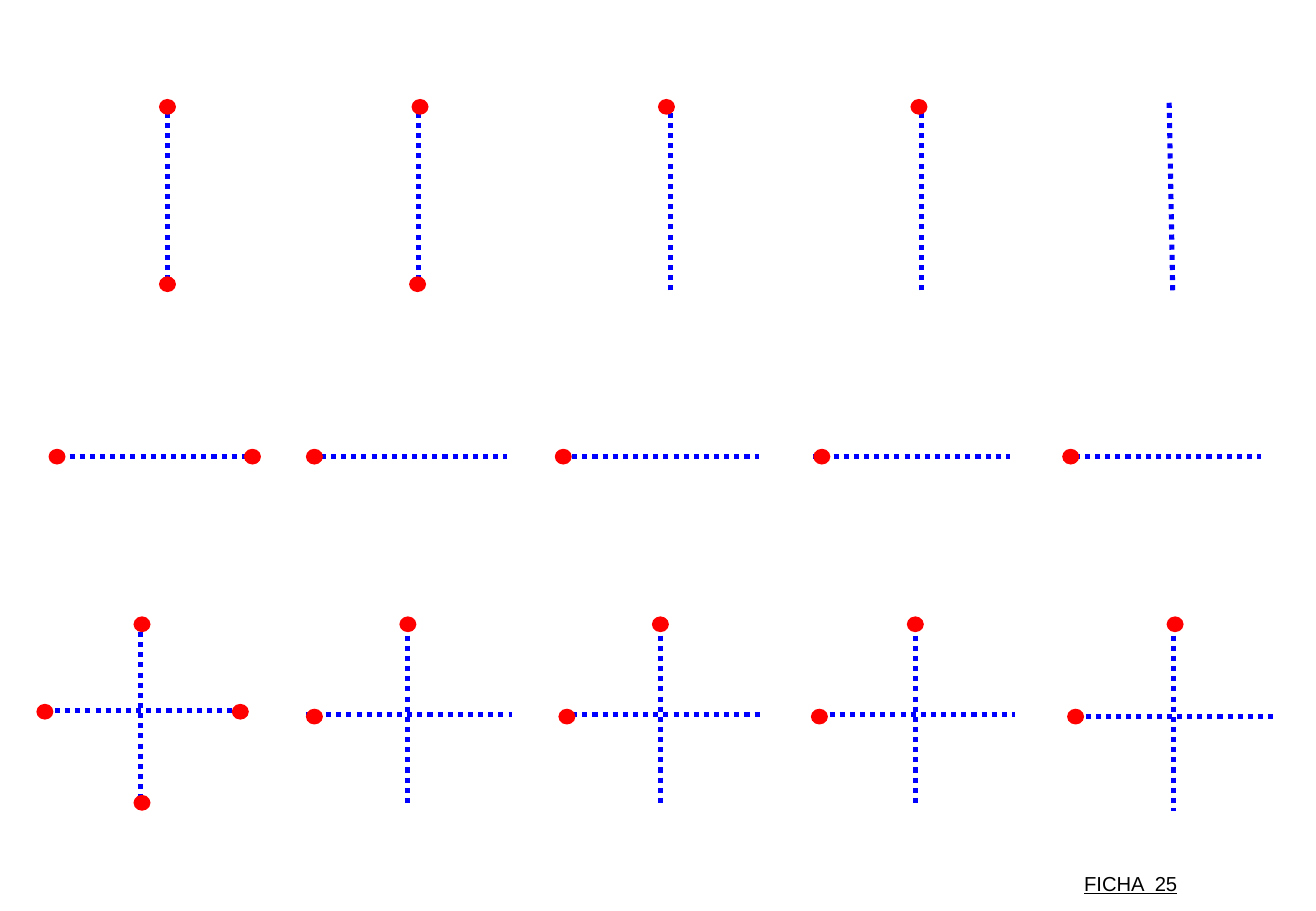
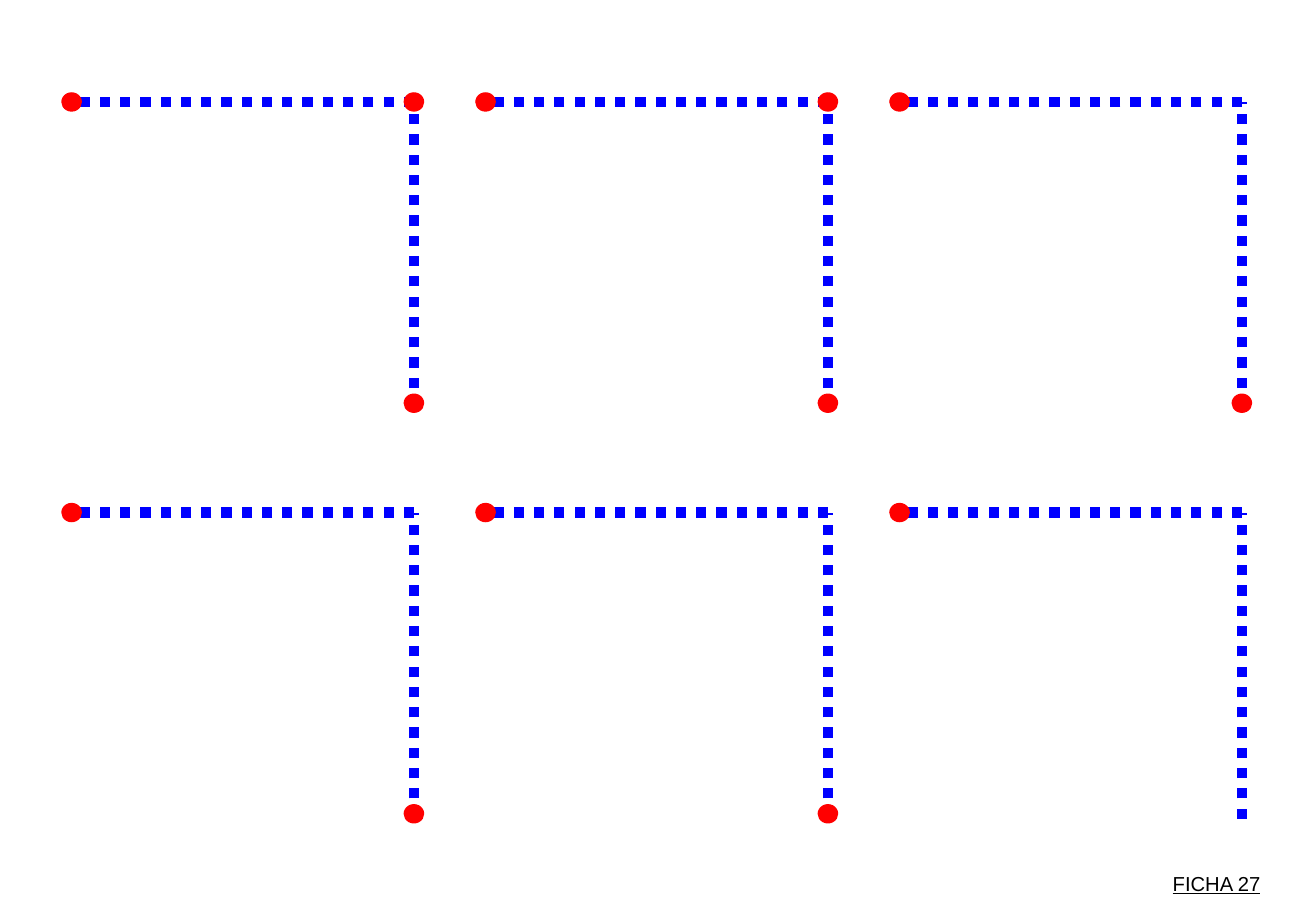
from lxml.etree import SubElement
from pptx import Presentation
from pptx.dml.color import RGBColor
from pptx.enum.dml import MSO_LINE
from pptx.enum.shapes import MSO_CONNECTOR, MSO_SHAPE
from pptx.enum.text import MSO_ANCHOR, MSO_AUTO_SIZE, PP_ALIGN
from pptx.oxml.ns import qn
from pptx.util import Inches, Pt

COLORS = {"stroke": "0000FF", "dot": "FF0000", "label": "000000"}
FONT = "Arial"
TITLE_ONLY = 5

# Sheet 25: label, then three rows of five strokes (inches)
SHEET_25 = {"label": "FICHA  25", "label_left": 8.83, "label_width": 1.17,
            "weight": 3, "dot": (0.14, 0.13)}
COLUMNS = 5
COLUMN_STEP = 2.07
VERTICAL = {"x": 1.38, "top": 0.89, "bottom": 2.39}
LAST_VERTICAL_TOP = (9.63, 0.81)
VERTICAL_DOTS = [(1.38, 0.88), (3.46, 0.88), (5.49, 0.88), (7.57, 0.88),
                 (1.38, 2.34), (3.44, 2.34)]
HORIZONTAL = {"left": 0.49, "y": 3.76, "length": 1.62}
HORIZONTAL_DOTS = [0.47, 2.08, 2.59, 4.64, 6.77, 8.82]
CROSSES = [
    # left, right, y, x, top, bottom, dot centres
    (0.37, 1.98, 5.85, 1.16, 5.12, 6.60,
     [(0.37, 5.86), (1.98, 5.86), (1.17, 5.14), (1.17, 6.61)]),
    (2.52, 4.22, 5.88, 3.36, 5.15, 6.64, [(2.59, 5.90), (3.36, 5.14)]),
    (4.63, 6.29, 5.88, 5.44, 5.15, 6.64, [(4.67, 5.90), (5.44, 5.14)]),
    (6.75, 8.36, 5.88, 7.54, 5.15, 6.64, [(6.75, 5.90), (7.54, 5.14)]),
    (8.86, 10.51, 5.90, 9.67, 5.15, 6.68, [(8.86, 5.90), (9.68, 5.14)]),
]

# Sheet 27: label, then two rows of three corners with fewer dots each time
SHEET_27 = {"label": "FICHA 27", "label_left": 9.56, "label_width": 1.27,
            "weight": 6, "dot": (0.17, 0.16)}
CORNER = {"left": 0.59, "top": 0.84, "width": 2.82, "height": 2.52,
          "step_x": 3.41, "step_y": 3.38, "end_dot_rise": 0.04}
CORNER_DOTS = [
    [("start", "turn", "end"), ("start", "turn", "end"), ("start", "end")],
    [("start", "end"), ("start", "end"), ("start",)],
]


def color(name):
    return RGBColor.from_string(COLORS[name])


def add_sheet(prs, sheet):
    """Add a slide with its underlined sheet label."""
    slide = prs.slides.add_slide(prs.slide_layouts[TITLE_ONLY])
    label = slide.shapes.title
    label.left, label.top = Inches(sheet["label_left"]), Inches(7.12)
    label.width, label.height = Inches(sheet["label_width"]), Inches(0.3)
    frame = label.text_frame
    frame.word_wrap = False
    frame.auto_size = MSO_AUTO_SIZE.NONE
    frame.vertical_anchor = MSO_ANCHOR.TOP
    frame.paragraphs[0].alignment = PP_ALIGN.LEFT
    run = frame.paragraphs[0].add_run()
    run.text = sheet["label"]
    run.font.name, run.font.size = FONT, Pt(12)
    run.font.underline = True
    run.font.color.rgb = color("label")
    return slide.shapes


def add_stroke(shapes, sheet, start, end):
    stroke = shapes.add_connector(
        MSO_CONNECTOR.STRAIGHT, *(Inches(v) for v in (*start, *end)))
    stroke.line.color.rgb = color("stroke")
    stroke.line.width = Pt(sheet["weight"])
    stroke.line.dash_style = MSO_LINE.ROUND_DOT
    SubElement(stroke.element.spPr, qn("a:effectLst"))


def add_dot(shapes, sheet, center):
    width, height = sheet["dot"]
    x, y = center
    dot = shapes.add_shape(
        MSO_SHAPE.OVAL, Inches(x - width / 2), Inches(y - height / 2),
        Inches(width), Inches(height))
    dot.shadow.inherit = False
    dot.fill.solid()
    dot.fill.fore_color.rgb = color("dot")
    dot.line.fill.background()


def build_sheet_25(prs):
    shapes = add_sheet(prs, SHEET_25)
    dots = VERTICAL_DOTS + [(x, HORIZONTAL["y"]) for x in HORIZONTAL_DOTS]

    # Vertical and horizontal rows
    for column in range(COLUMNS):
        shift = column * COLUMN_STEP
        x = VERTICAL["x"] + shift
        last = column == COLUMNS - 1
        top = LAST_VERTICAL_TOP if last else (x, VERTICAL["top"])
        add_stroke(shapes, SHEET_25, (x, VERTICAL["bottom"]), top)
        left, y = HORIZONTAL["left"] + shift, HORIZONTAL["y"]
        add_stroke(shapes, SHEET_25, (left, y), (left + HORIZONTAL["length"], y))

    # Crosses
    for left, right, y, x, top, bottom, cross_dots in CROSSES:
        cross = shapes.add_group_shape().shapes
        add_stroke(cross, SHEET_25, (left, y), (right, y))
        add_stroke(cross, SHEET_25, (x, top), (x, bottom))
        dots = dots + cross_dots

    for center in dots:
        add_dot(shapes, SHEET_25, center)


def build_sheet_27(prs):
    shapes = add_sheet(prs, SHEET_27)
    for row, row_dots in enumerate(CORNER_DOTS):
        for column, dots in enumerate(row_dots):
            left = CORNER["left"] + column * CORNER["step_x"]
            top = CORNER["top"] + row * CORNER["step_y"]
            right, bottom = left + CORNER["width"], top + CORNER["height"]
            corner = shapes.add_group_shape().shapes
            add_stroke(corner, SHEET_27, (right, bottom), (right, top))
            add_stroke(corner, SHEET_27, (right, top), (left, top))
            centers = {"start": (left, top), "turn": (right, top),
                       "end": (right, bottom - CORNER["end_dot_rise"])}
            for dot in dots:
                add_dot(shapes, SHEET_27, centers[dot])


def main():
    prs = Presentation()
    prs.slide_width, prs.slide_height = Inches(10.84), Inches(7.5)
    build_sheet_25(prs)
    build_sheet_27(prs)
    prs.save("out.pptx")


if __name__ == "__main__":
    main()
